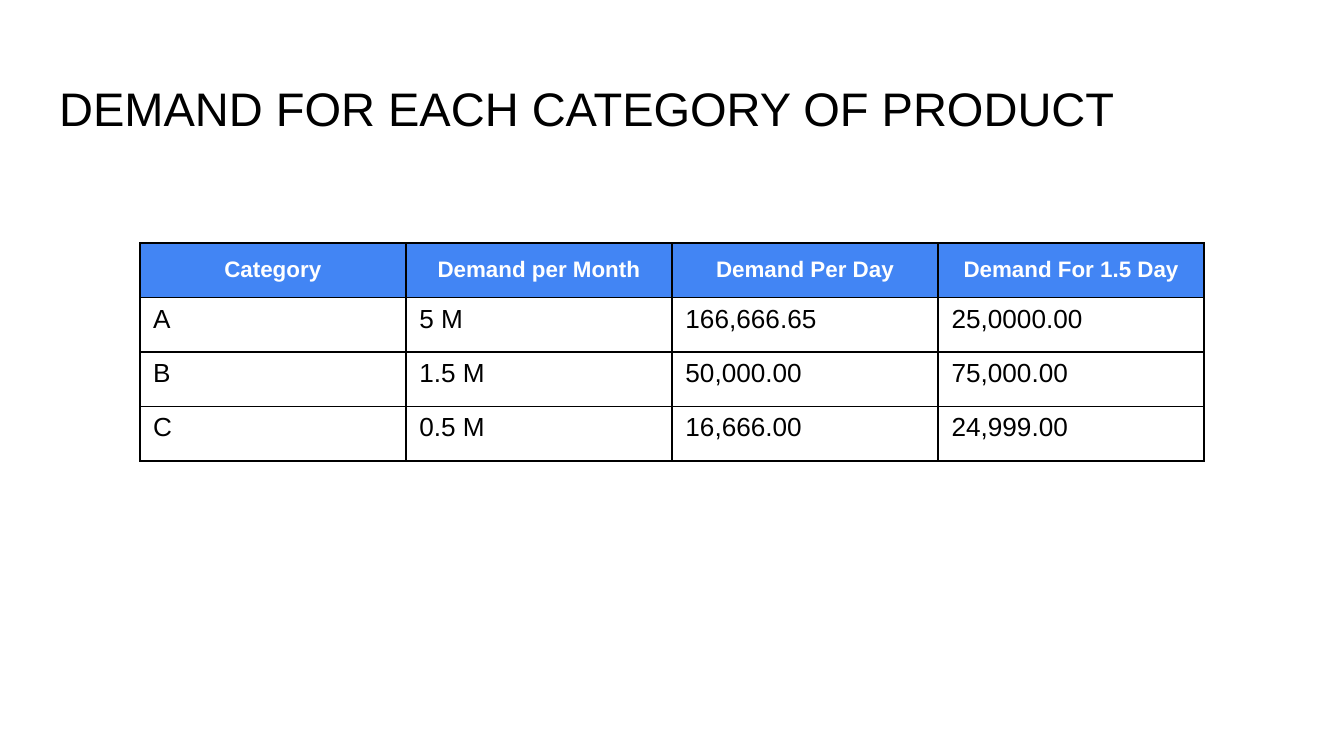
from lxml.etree import SubElement
from pptx import Presentation
from pptx.dml.color import RGBColor
from pptx.enum.text import MSO_ANCHOR, PP_ALIGN
from pptx.oxml.ns import qn
from pptx.util import Inches, Pt

TITLE = "DEMAND FOR EACH CATEGORY OF PRODUCT"
ROWS = [
    ("Category", "Demand per Month", "Demand Per Day", "Demand For 1.5 Day"),
    ("A", "5 M", "166,666.65", "25,0000.00"),
    ("B", "1.5 M", "50,000.00", "75,000.00"),
    ("C", "0.5 M", "16,666.00", "24,999.00"),
]
BLACK, WHITE, BLUE = "000000", "FFFFFF", "4285F4"
TABLE_WIDTH, TABLE_HEIGHT = 7.92, 1.62


def add_text(para, text, size, color, bold=False, align=PP_ALIGN.LEFT):
    para.alignment = align
    span = para.add_run()
    span.text = text
    font = span.font
    font.name, font.size, font.bold = "Arial", Pt(size), bold
    font.color.rgb = RGBColor.from_string(color)


def set_margins(target, side, vertical):
    target.margin_left = target.margin_right = Inches(side)
    target.margin_top = target.margin_bottom = Inches(vertical)


def add_borders(cell):
    """Put a thin black line on every side; call before filling the cell."""
    properties = cell._tc.get_or_add_tcPr()
    for side in ("a:lnL", "a:lnR", "a:lnT", "a:lnB"):
        line = SubElement(properties, qn(side), w=str(Pt(1)))
        fill = SubElement(line, qn("a:solidFill"))
        SubElement(fill, qn("a:srgbClr"), val=BLACK)


def add_title(page):
    title = page.shapes.title
    title.left, title.top = Inches(0.34), Inches(0.49)
    title.width, title.height = Inches(9.32), Inches(0.63)
    frame = title.text_frame
    frame.word_wrap = True
    frame.vertical_anchor = MSO_ANCHOR.TOP
    set_margins(frame, 0.1, 0.1)
    add_text(frame.paragraphs[0], TITLE, 25.2, BLACK)


def add_demand_table(page):
    table = page.shapes.add_table(
        len(ROWS), len(ROWS[0]), Inches(1.04), Inches(1.81),
        Inches(TABLE_WIDTH), Inches(TABLE_HEIGHT),
    ).table
    table.horz_banding = False
    for row, values in enumerate(ROWS):
        header = row == 0
        for column, value in enumerate(values):
            cell = table.cell(row, column)
            add_borders(cell)
            para = cell.text_frame.paragraphs[0]
            if header:
                cell.fill.solid()
                cell.fill.fore_color.rgb = RGBColor.from_string(BLUE)
                set_margins(cell, 0.1, 0.1)
                add_text(para, value, 12, WHITE, True, PP_ALIGN.CENTER)
            else:
                cell.fill.background()
                set_margins(cell, 0.1, 0.05)
                add_text(para, value, 14, BLACK)


deck = Presentation()
deck.slide_width = Inches(10)
deck.slide_height = deck.slide_width * 9 // 16
page = deck.slides.add_slide(deck.slide_layouts[5])
add_title(page)
add_demand_table(page)
deck.save("out.pptx")
